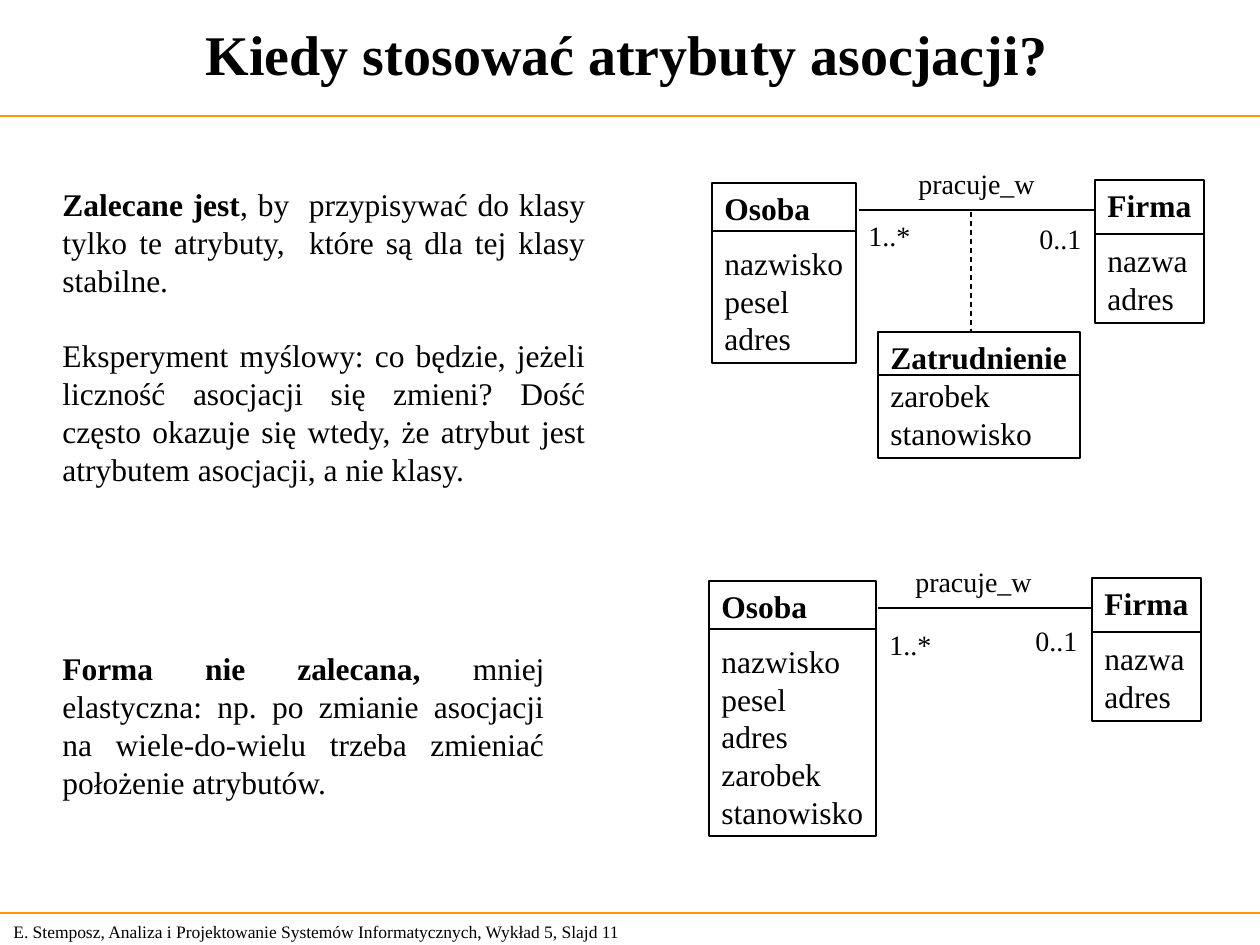
from pptx import Presentation
from pptx.dml.color import RGBColor
from pptx.enum.dml import MSO_LINE
from pptx.enum.shapes import MSO_CONNECTOR, MSO_SHAPE
from pptx.enum.text import MSO_ANCHOR as ANC, MSO_AUTO_SIZE as FIT, PP_ALIGN as AL
from pptx.oxml.ns import qn
from pptx.util import Emu, Pt
from lxml.etree import SubElement

FONT = "Times New Roman"
BLACK = RGBColor(0, 0, 0)
ORANGE = RGBColor(0xFF, 0x99, 0x00)
WIDE, HIGH = 1260, 945


def px(num):
    return Emu(round(num * 914400 / 126))


def write(shape, paras, size=18, gap=0, align=AL.LEFT, anchor=ANC.TOP,
          wrap=False, fit=FIT.SHAPE_TO_FIT_TEXT):
    frame = shape.text_frame
    frame.word_wrap = wrap
    frame.auto_size = fit
    frame.vertical_anchor = anchor
    for i, runs in enumerate(paras):
        para = frame.paragraphs[0] if i == 0 else frame.add_paragraph()
        para.alignment = align
        if i == 1 and gap:
            para.space_before = Pt(gap)
        for text, bold in runs:
            run = para.add_run()
            run.text = text
            font = run.font
            font.name, font.size, font.bold = FONT, Pt(size), bold
            font.color.rgb = BLACK


def label(slide, box, paras, **form):
    write(slide.shapes.add_textbox(*map(px, box)), paras, **form)


def rule(slide, x1, y1, x2, y2, color=BLACK, width=1, dash=None):
    line = slide.shapes.add_connector(MSO_CONNECTOR.STRAIGHT, *map(px, (x1, y1, x2, y2)))
    line.line.color.rgb = color
    line.line.width = Pt(width)
    if dash:
        line.line.dash_style = dash
    SubElement(line._element.spPr, qn("a:effectLst"))


def entity(slide, box, name, fields, split, gap=9.6):
    x, y, w, h = box
    rect = slide.shapes.add_shape(MSO_SHAPE.RECTANGLE, *map(px, box))
    rect.shadow.inherit = False
    rect.fill.background()
    rect.line.color.rgb = BLACK
    rect.line.width = Pt(1)
    write(rect, [[(name, True)]] + [[(f, False)] for f in fields], gap=gap)
    rule(slide, x, y + split, x + w, y + split)


def link(slide, x, y, size, fields, start, many, one):
    w, h = size
    entity(slide, (x, y + 3, w, h), "Osoba", fields, 48)
    entity(slide, (x + 383, y, 109, 143), "Firma", ["nazwa", "adres"], 54)
    rule(slide, x + start, y + 30, x + 382, y + 30)
    label(slide, (x + 194, y - 20, 156, 45), [[("pracuje_w", False)]],
          size=16, wrap=True)
    for text, (dx, dy) in (("0..1", one), ("1..*", many)):
        label(slide, (x + dx, y + dy, 67, 46), [[(text, False)]], size=16)


def good(slide, x, y):
    link(slide, x, y, (144, 180), ["nazwisko", "pesel", "adres"],
         147, (144, 32), (315, 35))
    entity(slide, (x + 166, y + 152, 202, 126), "Zatrudnienie",
           ["zarobek", "stanowisko"], 43, gap=0)
    rule(slide, x + 259, y + 32, x + 259, y + 152, width=0.75, dash=MSO_LINE.DASH)


def poor(slide, x, y):
    link(slide, x, y, (167, 255),
         ["nazwisko", "pesel", "adres", "zarobek", "stanowisko"],
         169, (168, 43), (314, 39))


def frame(slide):
    for y in (116, 913):
        rule(slide, 0, y, WIDE, y, color=ORANGE, width=0.75)
    label(slide, (0, 0, 1254, 106), [[("Kiedy stosować atrybuty asocjacji?", True)]],
          size=32, align=AL.CENTER, anchor=ANC.MIDDLE, wrap=True, fit=FIT.NONE)
    label(slide, (1, 914, 660, 34),
          [[("E. Stemposz, Analiza i Projektowanie Systemów Informatycznych, "
             "Wykład 5, Slajd 11", False)]],
          size=10, anchor=ANC.MIDDLE, wrap=True)


def notes(slide, x):
    form = dict(align=AL.JUSTIFY, wrap=True)
    label(slide, (x, 179, 548, 315), [
        [("Zalecane jest", True),
         (", by  przypisywać do klasy tylko te atrybuty,  które są dla tej klasy stabilne.", False)],
        [("Eksperyment myślowy: co będzie, jeżeli liczność asocjacji się zmieni? "
          "Dość często okazuje się wtedy, że atrybut jest atrybutem asocjacji, a nie klasy.", False)],
    ], gap=21.6, **form)
    label(slide, (x, 643, 507, 164), [
        [("Forma nie zalecana, ", True),
         ("mniej elastyczna: np. po zmianie asocjacji na wiele-do-wielu "
          "trzeba zmieniać położenie atrybutów.", False)],
    ], **form)


def main():
    deck = Presentation()
    deck.slide_width, deck.slide_height = px(WIDE), px(HIGH)
    slide = deck.slides.add_slide(deck.slide_layouts[6])
    frame(slide)
    notes(slide, 50)
    good(slide, 712, 180)
    poor(slide, 709, 578)
    deck.save("out.pptx")


if __name__ == "__main__":
    main()
